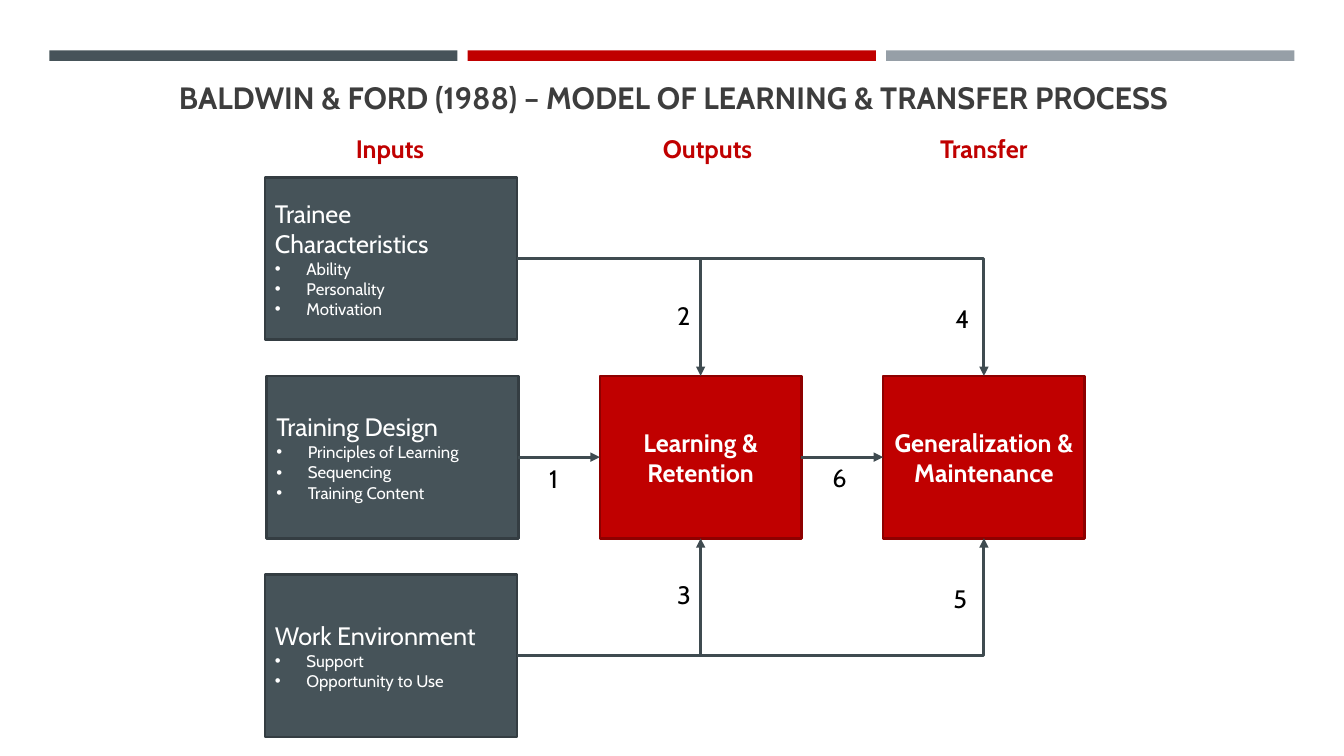
"""Build the slide showing the learning and transfer process model."""
from typing import Any, NamedTuple

import pptx
import pptx.dml.color
import pptx.enum.shapes
import pptx.enum.text
import pptx.oxml.ns
import pptx.util
from lxml import etree

Pt = pptx.util.Pt
RECTANGLE = pptx.enum.shapes.MSO_SHAPE.RECTANGLE
CONNECTOR = pptx.enum.shapes.MSO_CONNECTOR
ALIGN = pptx.enum.text.PP_ALIGN
ANCHOR = pptx.enum.text.MSO_ANCHOR

SLATE, RED, GREY, WHITE = "465359", "C00000", "969FA7", "FFFFFF"
SLATE_EDGE, RED_EDGE, ARROW_COLOUR = "343D42", "8E0000", "3F4B50"
TOP, LEFT, BOTTOM, RIGHT = range(4)
ROW_TOP, ROW_PITCH, BOX_HEIGHT = 126.7, 141.85, 116
BULLET_INDENT = 22.5


class Box(NamedTuple):
    """A box of the model, with its heading and bullets."""
    key: str
    left: float
    row: int
    width: float
    fill: str
    edge: str
    heading: str
    bullets: tuple[str, ...] = ()


class Arrow(NamedTuple):
    """An arrow between the connection sites of two boxes."""
    start: str
    end: str
    end_site: int


class Label(NamedTuple):
    """A free-standing piece of text."""
    text: str
    left: float
    top: float


BOXES = [
    Box("trainee", 189.3, 0, 180, SLATE, SLATE_EDGE, "Trainee Characteristics",
        ("Ability", "Personality", "Motivation")),
    Box("design", 190.3, 1, 180, SLATE, SLATE_EDGE, "Training Design",
        ("Principles of Learning", "Sequencing", "Training Content")),
    Box("environment", 189.3, 2, 180, SLATE, SLATE_EDGE, "Work Environment",
        ("Support", "Opportunity to Use")),
    Box("learning", 428.5, 1, 144, RED, RED_EDGE, "Learning & Retention"),
    Box("generalization", 630.8, 1, 144, RED, RED_EDGE, "Generalization & Maintenance"),
]
ARROWS = [
    Arrow("design", "learning", LEFT),
    Arrow("trainee", "learning", TOP),
    Arrow("environment", "learning", BOTTOM),
    Arrow("learning", "generalization", LEFT),
    Arrow("trainee", "generalization", TOP),
    Arrow("environment", "generalization", BOTTOM),
]
NUMBERS = [
    Label("1", 385.2, 327.6), Label("2", 476.6, 211), Label("3", 476.6, 410.4),
    Label("6", 587.5, 326.9), Label("4", 675.4, 213.1), Label("5", 673.9, 413.3),
]
STAGES = [Label("Inputs", 242.6, 95), Label("Outputs", 469.4, 95), Label("Transfer", 666.7, 95)]


def colour(value: str) -> pptx.dml.color.RGBColor:
    """Turn a hex string into a colour."""
    return pptx.dml.color.RGBColor.from_string(value)


def apply(target: Any, values: dict[str, Any]) -> None:
    """Set every named attribute on the target."""
    for name, value in values.items():
        setattr(target, name, value)


def write(paragraph: Any, text: str, size: float, ink: str, bold: bool = False,
          alignment: Any = ALIGN.LEFT) -> None:
    """Write one formatted run into a paragraph."""
    paragraph.alignment = alignment
    run = paragraph.add_run()
    run.text = text
    apply(run.font, {"name": "Cabin", "size": Pt(size), "bold": bold})
    run.font.color.rgb = colour(ink)


def add_bullet(frame: Any, text: str) -> None:
    """Append a bulleted paragraph to a text frame."""
    paragraph = frame.add_paragraph()
    write(paragraph, text, 12, WHITE)
    properties = paragraph._p.get_or_add_pPr()
    properties.set("marL", str(Pt(BULLET_INDENT)))
    properties.set("indent", str(-Pt(BULLET_INDENT)))
    font = etree.SubElement(properties, pptx.oxml.ns.qn("a:buFont"))
    font.set("typeface", "Arial")
    bullet = etree.SubElement(properties, pptx.oxml.ns.qn("a:buChar"))
    bullet.set("char", "•")


def add_rectangle(slide: Any, left: float, top: float, width: float, height: float,
                  fill: str) -> Any:
    """Draw a plain filled rectangle without outline."""
    shape = slide.shapes.add_shape(RECTANGLE, Pt(left), Pt(top), Pt(width), Pt(height))
    shape.shadow.inherit = False
    shape.fill.solid()
    shape.fill.fore_color.rgb = colour(fill)
    shape.line.fill.background()
    return shape


def add_box(slide: Any, box: Box) -> Any:
    """Draw a box of the model."""
    shape = add_rectangle(slide, box.left, ROW_TOP + box.row * ROW_PITCH,
                          box.width, BOX_HEIGHT, box.fill)
    shape.line.color.rgb = colour(box.edge)
    shape.line.width = Pt(1.75)
    frame = shape.text_frame
    apply(frame, {"word_wrap": True, "vertical_anchor": ANCHOR.MIDDLE})
    is_input = bool(box.bullets)
    write(frame.paragraphs[0], box.heading, 18, WHITE, not is_input,
          ALIGN.LEFT if is_input else ALIGN.CENTER)
    for bullet in box.bullets:
        add_bullet(frame, bullet)
    return shape


def add_arrow(slide: Any, arrow: Arrow, shapes: dict[str, Any]) -> None:
    """Connect two boxes with a straight or bent arrow."""
    straight = arrow.end_site == LEFT
    kind = CONNECTOR.STRAIGHT if straight else CONNECTOR.ELBOW
    connector = slide.shapes.add_connector(kind, 0, 0, 0, 0)
    connector.end_connect(shapes[arrow.end], arrow.end_site)
    connector.begin_connect(shapes[arrow.start], RIGHT)
    connector.line.color.rgb = colour(ARROW_COLOUR)
    connector.line.width = Pt(2.25)
    properties = connector._element.spPr
    if not straight:
        properties.find(pptx.oxml.ns.qn("a:prstGeom")).set("prst", "bentConnector2")
    line = properties.find(pptx.oxml.ns.qn("a:ln"))
    etree.SubElement(line, pptx.oxml.ns.qn("a:tailEnd")).set("type", "triangle")
    etree.SubElement(properties, pptx.oxml.ns.qn("a:effectLst"))


def add_label(slide: Any, label: Label, width: float, height: float, ink: str,
              margins: dict[str, Any], bold: bool = False, alignment: Any = ALIGN.LEFT) -> None:
    """Place a free-standing label."""
    box = slide.shapes.add_textbox(Pt(label.left), Pt(label.top), Pt(width), Pt(height))
    apply(box.text_frame, {"word_wrap": True, **margins})
    write(box.text_frame.paragraphs[0], label.text, 18, ink, bold, alignment)


def main() -> None:
    """Build and save the presentation."""
    presentation = pptx.Presentation()
    apply(presentation, {"slide_width": Pt(960), "slide_height": Pt(540)})
    slide = presentation.slides.add_slide(presentation.slide_layouts[5])
    for index, fill in enumerate((SLATE, RED, GREY)):
        add_rectangle(slide, 35.2 + index * 298.9, 36, 291.6, 7.5, fill)

    title = slide.shapes.title
    apply(title, {"left": Pt(45.4), "top": Pt(52.6), "width": Pt(871.2), "height": Pt(55.4)})
    apply(title.text_frame, {"word_wrap": True, "vertical_anchor": ANCHOR.TOP})
    write(title.text_frame.paragraphs[0],
          "BALDWIN & FORD (1988) – MODEL OF LEARNING & TRANSFER PROCESS",
          22, "3D3D3D", True, ALIGN.CENTER)

    shapes = {box.key: add_box(slide, box) for box in BOXES}
    for arrow in ARROWS:
        add_arrow(slide, arrow, shapes)
    for number in NUMBERS:
        add_label(slide, number, 28.8, 29.5, "000000", {})
    no_margins = {f"margin_{side}": 0 for side in ("left", "top", "right", "bottom")}
    for stage in STAGES:
        add_label(slide, stage, 72, 22.3, RED, no_margins, True, ALIGN.CENTER)
    presentation.save("out.pptx")


main()
